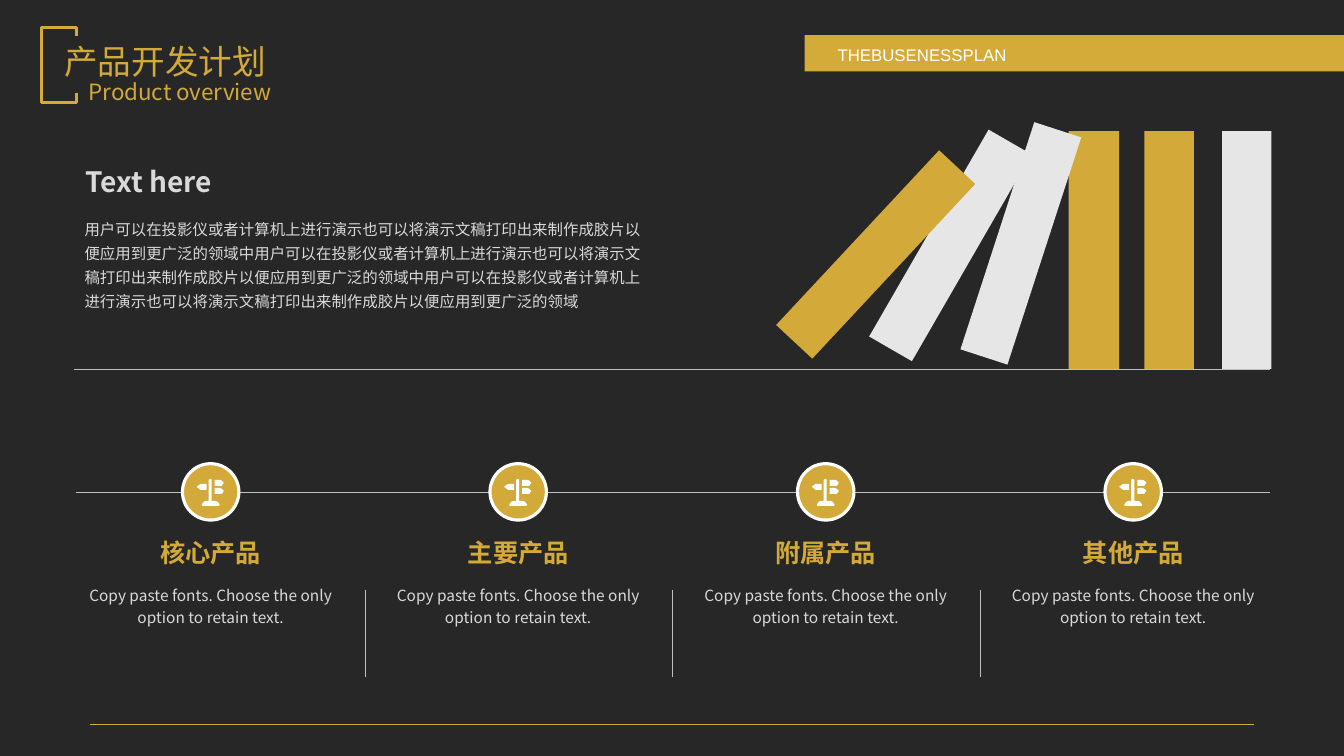
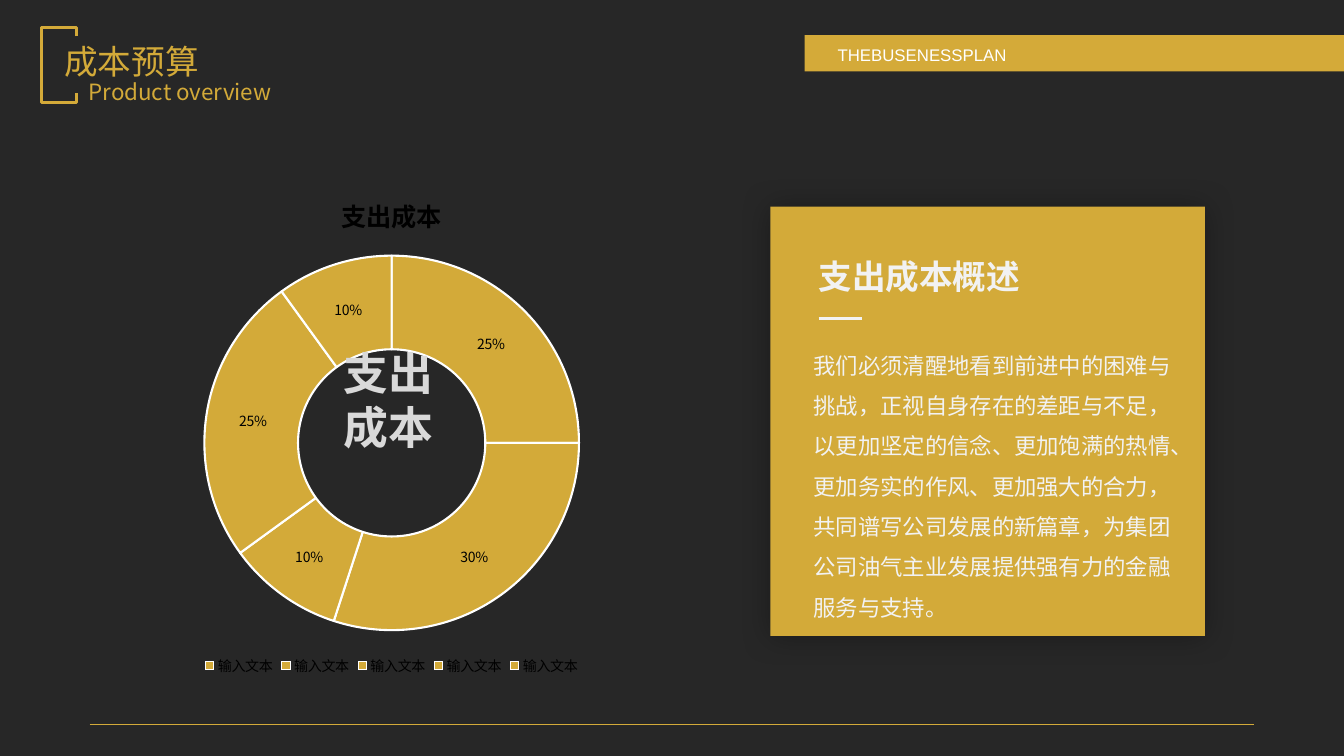
"""Builds two dark and gold slides: product development plan and cost budget."""
import lxml.etree
import pptx
import pptx.chart.data
import pptx.dml.color
import pptx.enum.chart
import pptx.enum.shapes
import pptx.enum.text
import pptx.oxml.ns
import pptx.util

PX = 9144
FONT = "Noto Sans CJK SC"
COLORS = {
    "back": "272727", "gold": "D3AA39", "band": "D4AA39", "white": "FFFFFF",
    "book": "E7E6E6", "rule": "BFBFBF", "text": "D9D9D9", "panel": "F2F2F2",
    "black": "000000",
}
SHAPE = pptx.enum.shapes.MSO_SHAPE
ALIGN = pptx.enum.text.PP_ALIGN
qn = pptx.oxml.ns.qn

COLUMNS = ["核心产品", "主要产品", "附属产品", "其他产品"]
COLUMN_STEP = 305
COLUMN_TEXT = "Copy paste fonts. Choose the only option to retain text."
PLAN_TEXT = (
    "用户可以在投影仪或者计算机上进行演示也可以将演示文稿打印出来制作成胶片以便应用到更广泛的领域中"
    "用户可以在投影仪或者计算机上进行演示也可以将演示文稿打印出来制作成胶片以便应用到更广泛的领域中"
    "用户可以在投影仪或者计算机上进行演示也可以将演示文稿打印出来制作成胶片以便应用到更广泛的领域"
)
COST_TEXT = (
    "我们必须清醒地看到前进中的困难与挑战，正视自身存在的差距与不足，"
    "以更加坚定的信念、更加饱满的热情、更加务实的作风、更加强大的合力，"
    "共同谱写公司发展的新篇章，为集团公司油气主业发展提供强有力的金融服务与支持。"
)
BOOKS = [
    (1060, 130, 50, 236, 0, "gold"),
    (1135, 130, 49, 236, 0, "gold"),
    (1212, 130, 49, 236, 0, "book"),
    (988, 123, 49, 237, 18, "book"),
    (918, 125, 49, 237, 30, "book"),
    (844, 134, 49, 237, 43, "gold"),
]
BRACKET = [(76, 36), (76, 27), (41, 27), (41, 102), (76, 102), (76, 92)]
UPPER_FLAG = [(18, 1), (23, 1), (25, 2), (27, 4), (25, 7), (23, 7), (18, 7)]
SIGNPOST = [
    UPPER_FLAG,
    [(x, y + 8) for x, y in UPPER_FLAG],
    [(4, 5), (10, 5), (10, 11), (4, 11), (0, 8)],
    [(12, 1), (14, 0), (15, 1), (15, 22), (19, 22), (21, 23), (23, 26),
     (22, 27), (6, 27), (5, 26), (7, 23), (9, 22), (12, 22)],
]


def rgb(name):
    """Return the named colour."""
    return pptx.dml.color.RGBColor.from_string(COLORS[name])


def style(obj, **fmt):
    """Set each format value on the object."""
    for name, value in fmt.items():
        setattr(obj, name, value)


def paint(sp, fill=None, line=None, width=0):
    """Give a shape its fill and outline and take its shadow away."""
    sp.shadow.inherit = False
    for part, color in ((sp.fill, fill), (sp.line.fill, line)):
        if color:
            part.solid()
            part.fore_color.rgb = rgb(color)
        else:
            part.background()
    if line:
        sp.line.width = pptx.util.Pt(width)
    return sp


def add_box(shapes, box, fill, kind=SHAPE.RECTANGLE, **outline):
    """Add a filled preset shape."""
    return paint(shapes.add_shape(kind, *(v * PX for v in box)), fill, **outline)


def add_outline(shapes, contours, closed, **look):
    """Add a freeform made of straight contours."""
    fb = shapes.build_freeform(*contours[0][0], scale=PX)
    for i, points in enumerate(contours):
        if i:
            fb.move_to(*points[0])
        fb.add_line_segments(points[1:], close=closed)
    return paint(fb.convert_to_shape(), **look)


def add_line(shapes, x1, y1, x2, y2, color, width):
    """Add a straight line."""
    kind = pptx.enum.shapes.MSO_CONNECTOR.STRAIGHT
    ln = shapes.add_connector(kind, *(v * PX for v in (x1, y1, x2, y2)))
    ln.line.color.rgb = rgb(color)
    ln.line.width = pptx.util.Pt(width)
    lxml.etree.SubElement(ln._element.spPr, qn("a:effectLst"))


def add_text(shapes, box, text, size, color, bold=False, font=FONT, **paragraph):
    """Add a wrapped text box with one paragraph."""
    tf = shapes.add_textbox(*(v * PX for v in box)).text_frame
    tf.word_wrap = True
    p = tf.paragraphs[0]
    style(p, **paragraph)
    r = p.add_run()
    r.text = text
    style(r.font, size=pptx.util.Pt(size), bold=bold, name=font)
    r.font.color.rgb = rgb(color)
    lxml.etree.SubElement(r.font._element, qn("a:ea"), typeface=font)


def add_glow(sp, blur, alpha):
    """Add a soft black shadow all around a shape."""
    effects = sp._element.spPr.find(qn("a:effectLst"))
    shadow = lxml.etree.SubElement(
        effects, qn("a:outerShdw"), blurRad=str(pptx.util.Pt(blur)),
        dist="0", dir="0", algn="ctr", rotWithShape="0")
    color = lxml.etree.SubElement(shadow, qn("a:srgbClr"), val=COLORS["black"])
    lxml.etree.SubElement(color, qn("a:alpha"), val=str(alpha * 1000))


def add_doughnut(shapes, box, title, cats, vals):
    """Add a gold doughnut chart with value labels and a legend."""
    data = pptx.chart.data.CategoryChartData(number_format="0%")
    data.categories = cats
    data.add_series(title, vals)
    kind = pptx.enum.chart.XL_CHART_TYPE.DOUGHNUT
    chart = shapes.add_chart(kind, *(v * PX for v in box), data).chart
    style(chart.font, size=pptx.util.Pt(10), name=FONT)
    chart.font.color.rgb = rgb("black")
    style(chart, has_title=True, has_legend=True)
    chart.chart_title.include_in_layout = False
    tf = chart.chart_title.text_frame
    tf.text = title
    font = tf.paragraphs[0].runs[0].font
    style(font, size=pptx.util.Pt(18), bold=True, name=FONT)
    font.color.rgb = rgb("black")
    style(chart.legend, include_in_layout=False,
          position=pptx.enum.chart.XL_LEGEND_POSITION.BOTTOM)
    plot = chart.plots[0]
    style(plot, vary_by_categories=True, has_data_labels=True)
    style(plot.data_labels, show_value=True, show_percentage=False,
          number_format="0%", number_format_is_linked=False)
    for i in range(len(vals)):
        part = plot.series[0].points[i].format
        part.fill.solid()
        part.fill.fore_color.rgb = rgb("gold")
        part.line.color.rgb = rgb("white")
        part.line.width = pptx.util.Pt(1.5)
    root = chart._chartSpace
    root.find(".//" + qn("c:holeSize")).set("val", "62")
    area = lxml.etree.Element(qn("c:spPr"))
    fill = lxml.etree.SubElement(area, qn("a:solidFill"))
    lxml.etree.SubElement(fill, qn("a:srgbClr"), val=COLORS["back"])
    edge = lxml.etree.SubElement(area, qn("a:ln"))
    lxml.etree.SubElement(edge, qn("a:noFill"))
    root.find(qn("c:chart")).addnext(area)


def add_slide(prs, title):
    """Add a slide with the shared background, band, footer line and title."""
    s = prs.slides.add_slide(prs.slide_layouts[6])
    s.background.fill.solid()
    s.background.fill.fore_color.rgb = rgb("back")
    shapes = s.shapes
    add_box(shapes, (798, 35, 535, 36), "band")
    add_text(shapes, (821, 39, 490, 30), "THEBUSENESSPLAN", 12, "white",
             font="Arial", alignment=ALIGN.JUSTIFY)
    add_line(shapes, 89, 719, 1244, 719, "gold", 0.5)
    add_outline(shapes, [BRACKET], False, line="band", width=2.25)
    add_text(shapes, (54, 36, 259, 50), title, 24, "gold")
    add_text(shapes, (78, 73, 217, 37), "Product overview", 16, "gold")
    return shapes


def add_badge(shapes, x, y):
    """Add a round badge with a signpost in it."""
    group = shapes.add_group_shape().shapes
    disc = add_box(group, (x, y, 56, 56), "gold", SHAPE.ROUNDED_RECTANGLE,
                   line="white", width=2.25)
    disc.adjustments[0] = 0.5
    contours = [[(x + 14 + dx, y + 15 + dy) for dx, dy in c] for c in SIGNPOST]
    add_outline(group, contours, True, fill="white")


def build_plan(prs):
    """Build the product development slide."""
    shapes = add_slide(prs, "产品开发计划")
    for *box, angle, color in BOOKS:
        add_box(shapes, box, color).rotation = angle
    add_line(shapes, 73, 366, 1260, 366, "rule", 0.25)
    add_text(shapes, (75, 158, 606, 48), "Text here", 20, "text", bold=True)
    add_text(shapes, (74, 208, 581, 114), PLAN_TEXT, 11, "text", line_spacing=1.3)
    add_line(shapes, 75, 488, 1260, 488, "rule", 0.25)
    for i, name in enumerate(COLUMNS):
        x = 73 + i * COLUMN_STEP
        if i:
            add_line(shapes, x - 16, 585, x - 16, 672, "rule", 0.25)
        add_badge(shapes, x + 108, 460)
        add_text(shapes, (x, 528, 272, 45), name, 18, "gold", bold=True,
                 alignment=ALIGN.CENTER)
        add_text(shapes, (x, 573, 272, 61), COLUMN_TEXT, 11, "text",
                 alignment=ALIGN.CENTER, line_spacing=1.2)


def build_cost(prs):
    """Build the cost budget slide."""
    shapes = add_slide(prs, "成本预算")
    add_doughnut(shapes, (13, 173, 751, 501), "支出成本", ["输入文本"] * 5,
                 [0.25, 0.3, 0.1, 0.25, 0.1])
    add_text(shapes, (331, 338, 115, 118), "支出成本", 32, "text", bold=True)
    add_glow(add_box(shapes, (764, 205, 431, 426), "gold"), 21, 29)
    add_line(shapes, 812, 316, 855, 316, "panel", 2.25)
    add_text(shapes, (802, 249, 310, 50), "支出成本概述", 24, "panel", bold=True)
    add_text(shapes, (797, 331, 380, 333), COST_TEXT, 16, "panel", line_spacing=1.5)


def main():
    """Build and save the presentation."""
    prs = pptx.Presentation()
    style(prs, slide_width=pptx.util.Inches(13.33), slide_height=750 * PX)
    build_plan(prs)
    build_cost(prs)
    prs.save("out.pptx")


if __name__ == "__main__":
    main()
